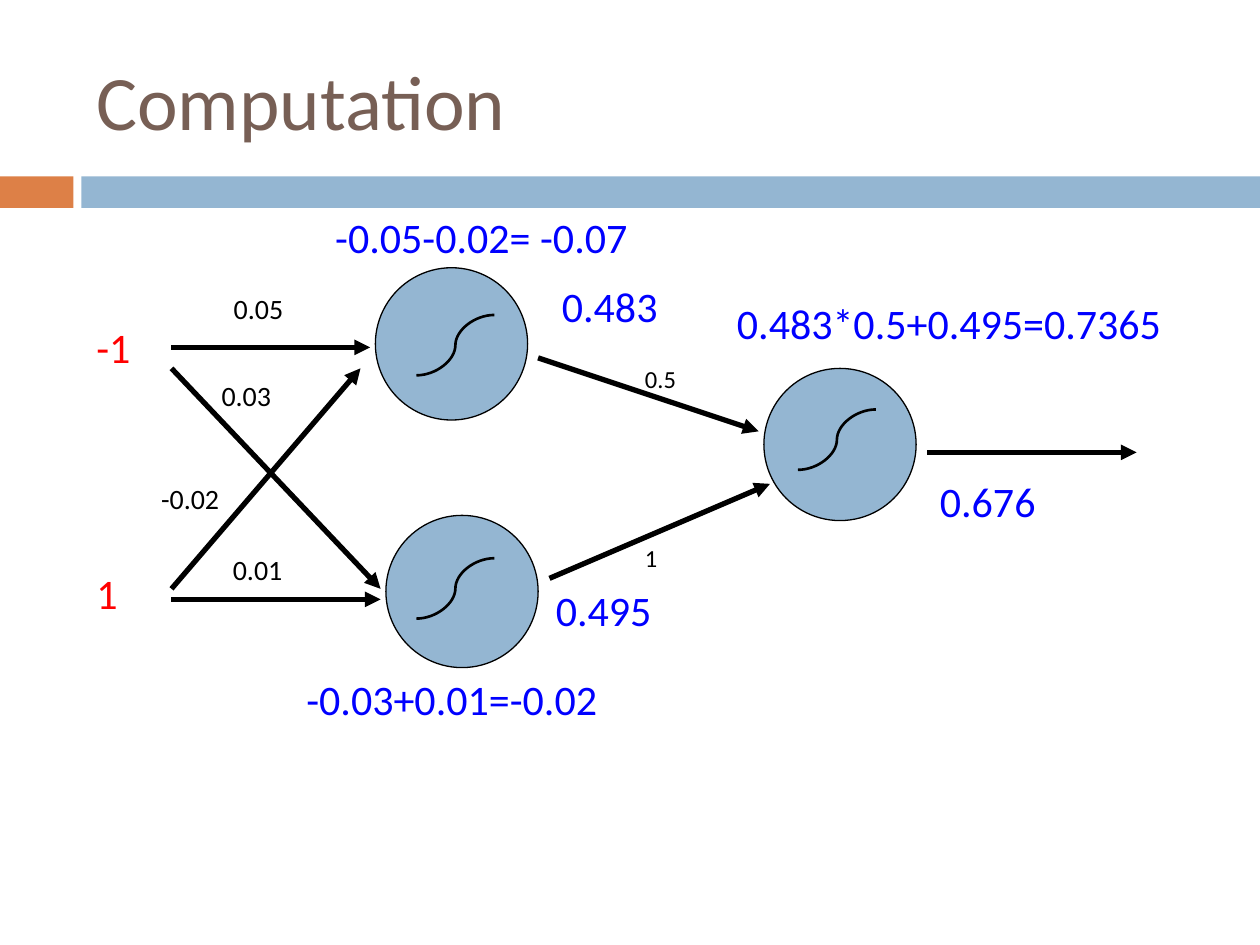
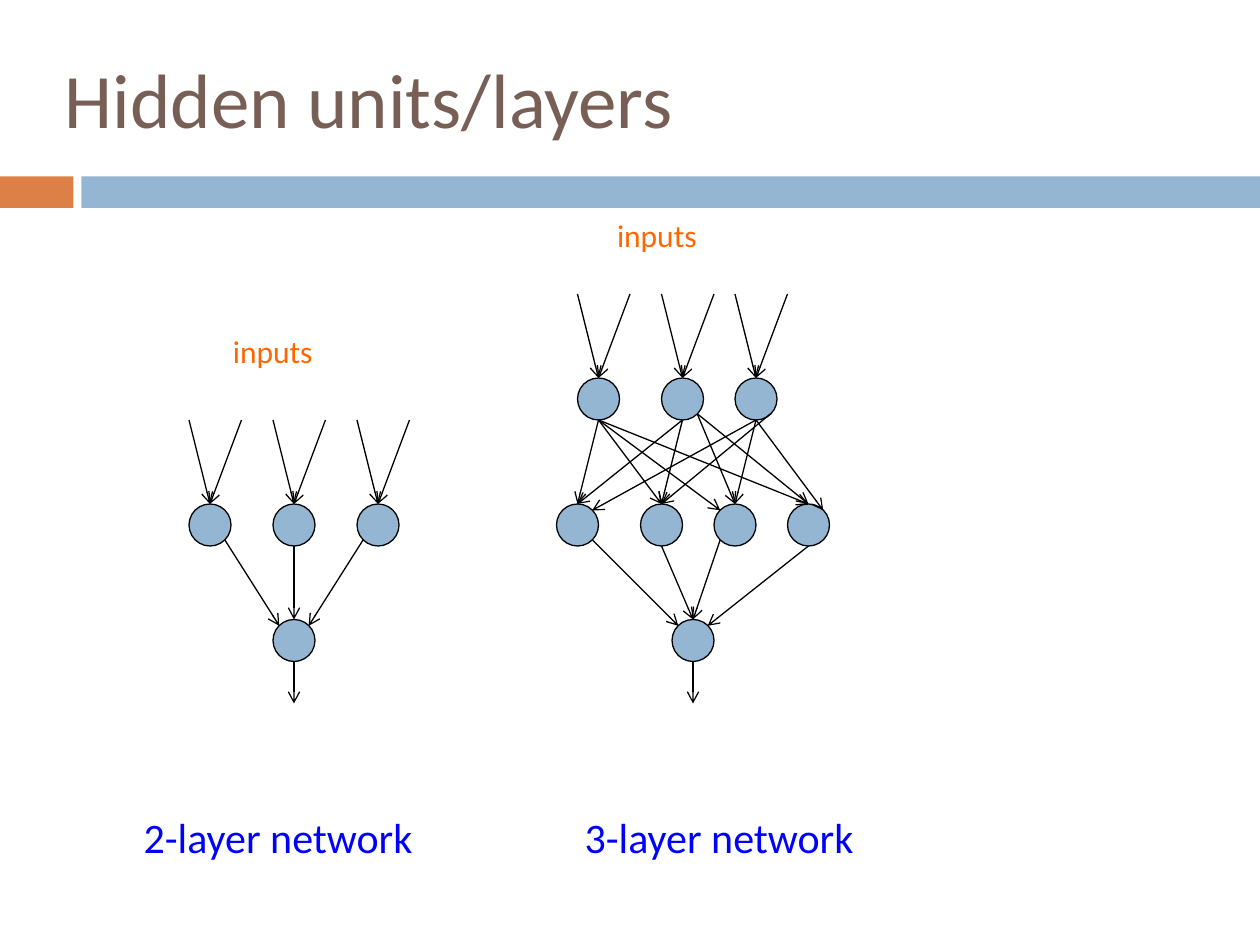
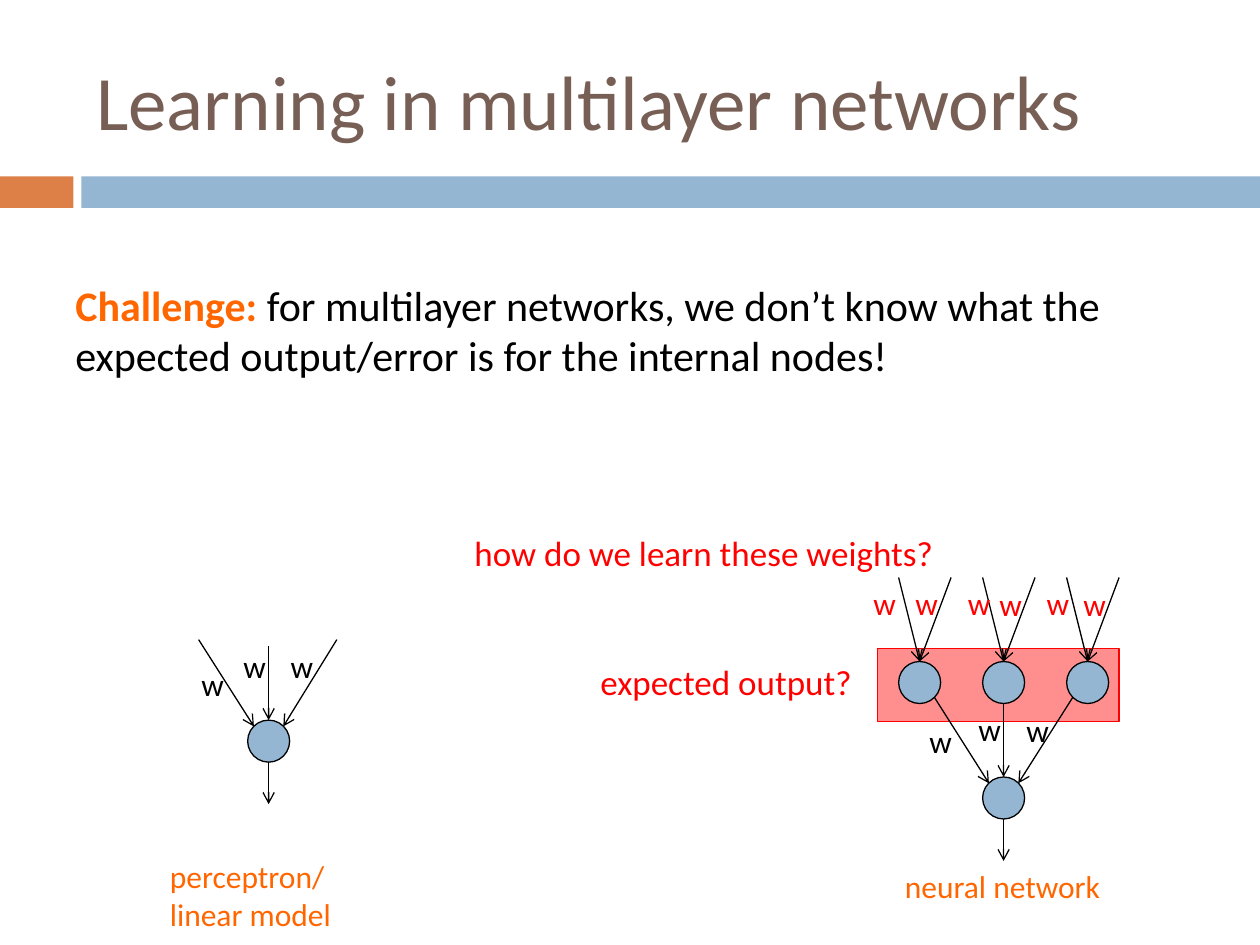
from dataclasses import dataclass
from typing import NamedTuple

from lxml import etree
from pptx import Presentation
from pptx.dml.color import RGBColor
from pptx.enum.shapes import MSO_CONNECTOR, MSO_SHAPE
from pptx.enum.text import MSO_ANCHOR
from pptx.oxml.ns import qn
from pptx.util import Pt

RECT, OVAL = MSO_SHAPE.RECTANGLE, MSO_SHAPE.OVAL
STRAIGHT, CURVE = MSO_CONNECTOR.STRAIGHT, MSO_CONNECTOR.CURVE
TOP, MIDDLE = MSO_ANCHOR.TOP, MSO_ANCHOR.MIDDLE

Point = tuple[float, float]


@dataclass(frozen=True)
class Theme:
    font: str = "Calibri"
    title: str = "775F55"
    accent: str = "DD8047"
    band: str = "94B6D2"
    ink: str = "000000"
    red: str = "FF0000"
    blue: str = "0000FF"
    orange: str = "FF6600"
    title_size: float = 44
    large: float = 24
    medium: float = 20
    normal: float = 18
    small: float = 16
    tiny: float = 14
    thin: float = 0.75
    curve: float = 1.5
    thick: float = 3


T = Theme()


class Box(NamedTuple):
    x: float
    y: float
    w: float
    h: float


class Run(NamedTuple):
    text: str
    size: float
    color: str
    bold: bool = False


class Label(NamedTuple):
    text: str
    x: float
    y: float
    w: float
    size: float = T.large
    color: str = T.blue
    wrap: bool = True


class Arrow(NamedTuple):
    start: Point
    end: Point


@dataclass(frozen=True)
class Node:
    """A small round unit whose ports sit on its circumference."""
    x: float
    y: float
    d: float = 24

    def port(self, name: str) -> Point:
        far = 0.85 * self.d
        near, mid = self.d - far, self.d / 2
        dx, dy = {"t": (mid, 0), "b": (mid, self.d), "tl": (near, near),
                  "tr": (far, near), "bl": (near, far), "br": (far, far)}[name]
        return self.x + dx, self.y + dy


TITLE_BOX = Box(48, 18, 642, 78)


# Drawing functions
def add_shape(slide, kind, box: Box, fill: str, line: str | None = None):
    sp = slide.shapes.add_shape(kind, *map(Pt, box))
    sp.shadow.inherit = False
    sp.fill.solid()
    sp.fill.fore_color.rgb = RGBColor.from_string(fill)
    if line:
        sp.line.color.rgb = RGBColor.from_string(line)
        sp.line.width = Pt(T.thin)
    else:
        sp.line.fill.background()
    return sp


def add_line(slide, start: Point, end: Point, width: float = T.thin,
             head: str | None = "arrow", kind=STRAIGHT) -> None:
    sp = slide.shapes.add_connector(kind, *map(Pt, start + end))
    sp.line.color.rgb = RGBColor.from_string(T.ink)
    sp.line.width = Pt(width)
    if head:
        etree.SubElement(sp.line._get_or_add_ln(), qn("a:tailEnd"), type=head)
    etree.SubElement(sp._element.spPr, qn("a:effectLst"))


def add_text(slide, box: Box, runs: list[Run], anchor=TOP, wrap: bool = True) -> None:
    tf = slide.shapes.add_textbox(*map(Pt, box)).text_frame
    tf.word_wrap, tf.vertical_anchor = wrap, anchor
    p = tf.paragraphs[0]
    for run in runs:
        for i, text in enumerate(run.text.split("\n")):
            if i:
                p.add_line_break()
            r = p.add_run()
            r.text = text
            formats = {"name": T.font, "size": Pt(run.size), "bold": run.bold}
            for key, value in formats.items():
                setattr(r.font, key, value)
            r.font.color.rgb = RGBColor.from_string(run.color)


def add_labels(slide, labels: list[Label]) -> None:
    for lb in labels:
        lines = lb.text.count("\n") + 1
        box = Box(lb.x, lb.y, lb.w, 1.22 * lb.size * lines + 7.2)
        add_text(slide, box, [Run(lb.text, lb.size, lb.color)], wrap=lb.wrap)


def add_weights(slide, places: list[Point], color: str) -> None:
    add_labels(slide, [Label("w", x, y, 26.6, T.normal, color, False) for x, y in places])


def add_slide(prs, title: str, box: Box = TITLE_BOX):
    slide = prs.slides.add_slide(prs.slide_layouts[6])
    add_shape(slide, RECT, Box(0, 100.8, 42, 18), T.accent)
    add_shape(slide, RECT, Box(46.5, 100.8, 673.5, 18), T.band)
    add_text(slide, box, [Run(title, T.title_size, T.title)], MIDDLE)
    return slide


# Network parts
def add_node(slide, node: Node) -> None:
    add_shape(slide, OVAL, Box(node.x, node.y, node.d, node.d), T.band, T.ink)


def link(slide, a: Node, out: str, b: Node, into: str) -> None:
    add_line(slide, a.port(out), b.port(into))


def add_inputs(slide, node: Node) -> None:
    for dx in (0, 30):
        add_line(slide, (node.x + dx, node.y - 48), node.port("t"))


def add_output(slide, node: Node) -> None:
    x, y = node.port("b")
    add_line(slide, (x, y), (x, y + 24))


def add_two_layer(slide, x: float, y: float) -> None:
    hidden = [Node(x + 48 * i, y) for i in range(3)]
    output = Node(x + 48, y + 66)
    for node in [*hidden, output]:
        add_node(slide, node)
    for node, out, into in zip(hidden, ("br", "b", "bl"), ("tl", "t", "tr")):
        link(slide, node, out, output, into)
        add_inputs(slide, node)
    add_output(slide, output)


def add_three_layer(slide) -> None:
    first = [Node(x, 216) for x in (330, 378, 420)]
    second = [Node(x, 288) for x in (318, 366, 408, 450)]
    output = Node(384, 354)
    for node in [*first, *second, output]:
        add_node(slide, node)
    # One row per first-layer unit: (leaving port, entering port) per target
    ports = [
        [("b", "t"), ("b", "t"), ("b", "tl"), ("b", "t")],
        [("b", "t"), ("b", "t"), ("br", "t"), ("br", "t")],
        [("b", "tr"), ("br", "t"), ("b", "t"), ("b", "tr")],
    ]
    for node, row in zip(first, ports):
        add_inputs(slide, node)
        for target, (out, into) in zip(second, row):
            link(slide, node, out, target, into)
    for node, out, into in zip(second, ("br", "b", "bl", "b"), ("tl", "t", "t", "tr")):
        link(slide, node, out, output, into)
    add_output(slide, output)


def add_perceptron(slide, x: float, y: float) -> None:
    node = Node(x, y)
    add_node(slide, node)
    for dx, dy, into in ((-28, -46, "tl"), (12, -42.5, "t"), (51, -46, "tr")):
        add_line(slide, (x + dx, y + dy), node.port(into))
    add_output(slide, node)


# Slides
def computation(prs) -> None:
    slide = add_slide(prs, "Computation")
    neurons = [(Node(214.5, 153, 87), (238, 214.5)),
               (Node(436.5, 210.5, 87), (456, 268.5)),
               (Node(220.5, 294.5, 87), (238, 353.5))]
    for node, (x, y) in neurons:
        add_node(slide, node)
        add_line(slide, (x, y), (x + 44.5, y - 34.5), T.curve, None, CURVE)
    arrows = [
        Arrow((98, 198.5), (211.5, 198.5)),
        Arrow((98, 210.5), (217.5, 336.5)),
        Arrow((98, 342.5), (217.5, 342.5)),
        Arrow((98, 336.5), (206, 210.5)),
        Arrow((307.5, 204.5), (433.5, 246.5)),
        Arrow((314, 330.5), (440, 276.5)),
        Arrow((530, 258.5), (649.5, 258.5)),
    ]
    for arrow in arrows:
        add_line(slide, arrow.start, arrow.end, T.thick, "triangle")
    add_labels(slide, [
        Label("-1", 48, 180, 90, color=T.red),
        Label("1", 48, 320.5, 90, color=T.red),
        Label("0.05", 126.5, 163, 58, T.small, T.ink),
        Label("0.03", 119.5, 212.5, 60, T.small, T.ink),
        Label("-0.02", 85, 271.5, 108, T.small, T.ink),
        Label("0.01", 126, 312, 108, T.small, T.ink),
        Label("0.5", 361.5, 204.5, 108, T.tiny, T.ink),
        Label("1", 361.5, 306.5, 108, T.tiny, T.ink),
        Label("-0.05-0.02= -0.07", 184.5, 117.5, 222),
        Label("-0.03+0.01=-0.02", 168, 381.5, 222),
        Label("0.483", 314, 157, 222),
        Label("0.495", 310.5, 330.5, 79),
        Label("0.483*0.5+0.495=0.7365", 414, 166.5, 284),
        Label("0.676", 530, 268, 87),
    ])


def hidden_layers(prs) -> None:
    slide = add_slide(prs, "Hidden units/layers", Box(30, 2, 648, 108))
    add_two_layer(slide, 108, 288)
    add_three_layer(slide)
    add_labels(slide, [
        Label("inputs", 126, 186, 132, T.normal, T.orange),
        Label("inputs", 345.5, 120, 132, T.normal, T.orange),
        Label("2-layer network", 75, 460, 169, wrap=False),
        Label("3-layer network", 327, 460, 169, wrap=False),
    ])


def learning(prs) -> None:
    slide = add_slide(prs, "Learning in multilayer networks")
    add_text(slide, Box(36, 156, 648, 90), [
        Run("Challenge:", T.large, T.orange, True),
        Run(" for multilayer networks, we don’t know what the expected "
            "output/error is for the internal nodes!", T.large, T.ink),
    ])
    # Translucent highlight behind the hidden units
    sp = add_shape(slide, RECT, Box(501.5, 370.5, 138, 42), T.red, T.red)
    color = sp._element.spPr.find(qn("a:solidFill"))[0]
    etree.SubElement(color, qn("a:alpha"), val="44000")

    add_perceptron(slide, 141.5, 411.5)
    add_two_layer(slide, 513.5, 378)
    add_weights(slide, [(108, 376.5), (132, 366), (159, 366),
                        (524, 409), (552, 402), (579.5, 403)], T.ink)
    add_weights(slide, [(492, 330), (516, 330), (546, 330),
                        (564, 331), (591, 330), (612, 331)], T.red)
    add_labels(slide, [
        Label("how do we learn these weights?", 264, 300, 281, T.medium, T.red),
        Label("expected output?", 336, 374, 216, T.medium, T.red),
        Label("perceptron/\nlinear model", 90, 486, 162, T.normal, T.orange),
        Label("neural network", 510, 492, 164, T.normal, T.orange),
    ])


def main() -> None:
    prs = Presentation()
    prs.slide_width, prs.slide_height = Pt(720), Pt(540)
    for build in (computation, hidden_layers, learning):
        build(prs)
    prs.save("out.pptx")


if __name__ == "__main__":
    main()
